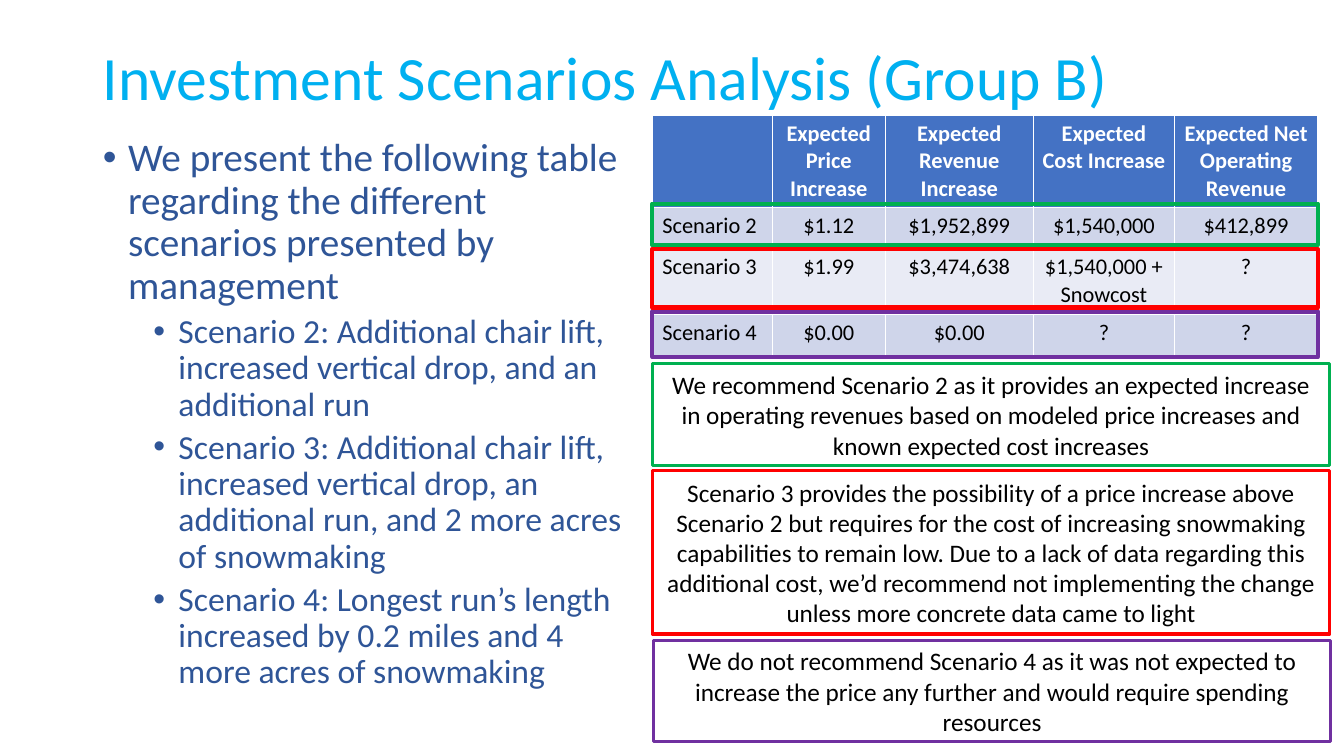
"""Build the slide that compares the investment scenarios of Group B."""
from lxml import etree
from pptx import Presentation
from pptx import util as u
from pptx.dml.color import RGBColor
from pptx.enum import shapes, text
from pptx.oxml import ns

SKY = RGBColor(0x00, 0xB0, 0xF0)
NAVY = RGBColor(0x2F, 0x55, 0x97)
HEADER = RGBColor(0x44, 0x72, 0xC4)
BANDS = (RGBColor(0xCF, 0xD5, 0xEA), RGBColor(0xE9, 0xEB, 0xF5))
WHITE = RGBColor(0xFF, 0xFF, 0xFF)
BLACK = RGBColor(0x00, 0x00, 0x00)
GREEN = RGBColor(0x00, 0xB0, 0x50)
RED = RGBColor(0xFF, 0x00, 0x00)
PURPLE = RGBColor(0x70, 0x30, 0xA0)

BULLETS = (
    (0, "We present the following table regarding the different scenarios "
        "presented by management"),
    (1, "Scenario 2: Additional chair lift, increased vertical drop, and an "
        "additional run"),
    (1, "Scenario 3: Additional chair lift, increased vertical drop, an "
        "additional run, and 2 more acres of snowmaking"),
    (1, "Scenario 4: Longest run’s length increased by 0.2 miles and 4 more "
        "acres of snowmaking"),
)
LEVELS = ({"size": 28, "before": 10, "left": 0.25},
          {"size": 24, "before": 5, "left": 0.75})
ROWS = (
    ("", "Expected Price Increase", "Expected Revenue Increase",
     "Expected Cost Increase", "Expected Net Operating Revenue"),
    ("Scenario 2", "$1.12", "$1,952,899", "$1,540,000", "$412,899"),
    ("Scenario 3", "$1.99", "$3,474,638", "$1,540,000 +\nSnowcost", "?"),
    ("Scenario 4", "$0.00", "$0.00", "?", "?"),
)
COLUMN_WIDTHS = (1.19, 1.12, 1.47, 1.4, 1.42)
ROW_HEIGHTS = (0.88, 0.41, 0.65, 0.41)
HEADER_MARGIN = 0.07
VERDICTS = (
    (GREEN, (6.47, 2.02, 6.6, 0.41), (6.47, 3.61, 6.72, 1.01),
     "We recommend Scenario 2 as it provides an expected increase in operating "
     "revenues based on modeled price increases and known expected cost increases"),
    (PURPLE, (6.47, 3.09, 6.6, 0.45), (6.48, 6.35, 6.72, 1.01),
     "We do not recommend Scenario 4 as it was not expected to increase the "
     "price any further and would require spending resources"),
    (RED, (6.47, 2.47, 6.6, 0.58), (6.47, 4.67, 6.72, 1.62),
     "Scenario 3 provides the possibility of a price increase above Scenario 2 "
     "but requires for the cost of increasing snowmaking capabilities to remain "
     "low. Due to a lack of data regarding this additional cost, we’d recommend "
     "not implementing the change unless more concrete data came to light"),
)


def apply(target, **values):
    """Set each named attribute on the target."""
    for name, value in values.items():
        setattr(target, name, value)


def style(para, size, color, bold=False, **layout):
    """Format a paragraph and its font."""
    apply(para, **layout)
    apply(para.font, name="Calibri", size=u.Pt(size), bold=bold)
    para.font.color.rgb = color


def place(box, left, top, width, height):
    """Move and size a placeholder in inches."""
    apply(box, left=u.Inches(left), top=u.Inches(top),
          width=u.Inches(width), height=u.Inches(height))


def add_title(page, words):
    """Fill the title placeholder."""
    box = page.shapes.title
    place(box, 0.92, 0.4, 11.5, 0.79)
    box.text = words
    apply(box.text_frame, vertical_anchor=text.MSO_ANCHOR.MIDDLE,
          auto_size=text.MSO_AUTO_SIZE.NONE)
    style(box.text_frame.paragraphs[0], 44, SKY,
          alignment=text.PP_ALIGN.LEFT, line_spacing=0.9)


def add_bullets(page, items):
    """Fill the body placeholder with a two-level list."""
    box = page.placeholders[1]
    place(box, 0.92, 1.32, 5.38, 5.78)
    box.text = "\n".join(words for _, words in items)
    box.text_frame.auto_size = text.MSO_AUTO_SIZE.NONE
    for para, (level, _) in zip(box.text_frame.paragraphs, items):
        look = LEVELS[level]
        style(para, look["size"], NAVY, level=level, line_spacing=0.9,
              space_before=u.Pt(look["before"]))
        props = para._p.get_or_add_pPr()
        props.set("marL", str(u.Inches(look["left"])))
        props.set("indent", str(u.Inches(-0.25)))
        font = etree.SubElement(props, ns.qn("a:buFont"))
        font.set("typeface", "Arial")
        etree.SubElement(props, ns.qn("a:buChar")).set("char", "•")


def add_scenario_table(page):
    """Add the table of expected changes per scenario."""
    table = page.shapes.add_table(
        len(ROWS), len(COLUMN_WIDTHS), u.Inches(6.47), u.Inches(1.14),
        u.Inches(sum(COLUMN_WIDTHS)), u.Inches(sum(ROW_HEIGHTS))).table
    for column, width in zip(table.columns, COLUMN_WIDTHS):
        column.width = u.Inches(width)
    for r, (row, height) in enumerate(zip(table.rows, ROW_HEIGHTS)):
        row.height = u.Inches(height)
        for c, cell in enumerate(row.cells):
            cell.text = ROWS[r][c]
            cell.fill.solid()
            cell.fill.fore_color.rgb = BANDS[(r - 1) % 2] if r else HEADER
            if r == 0:
                apply(cell, margin_left=u.Inches(HEADER_MARGIN),
                      margin_right=u.Inches(HEADER_MARGIN))
            align = text.PP_ALIGN.CENTER if c else text.PP_ALIGN.LEFT
            for para in cell.text_frame.paragraphs:
                style(para, 16, BLACK if r else WHITE, bold=r == 0,
                      alignment=align)


def add_frame(page, bounds, color, weight):
    """Add an unfilled rectangle with a coloured outline."""
    box = page.shapes.add_shape(shapes.MSO_SHAPE.RECTANGLE,
                                *map(u.Inches, bounds))
    box.shadow.inherit = False
    box.fill.background()
    box.line.color.rgb = color
    box.line.width = u.Pt(weight)
    return box


def add_verdict(page, bounds, color, words):
    """Add a framed recommendation."""
    frame = add_frame(page, bounds, color, 2.25).text_frame
    apply(frame, text=words, word_wrap=True,
          vertical_anchor=text.MSO_ANCHOR.MIDDLE)
    style(frame.paragraphs[0], 18, BLACK, alignment=text.PP_ALIGN.CENTER)


def main():
    """Build and save the deck."""
    deck = Presentation()
    apply(deck, slide_width=u.Inches(13.33), slide_height=u.Inches(7.5))
    page = deck.slides.add_slide(deck.slide_layouts[1])
    add_title(page, "Investment Scenarios Analysis (Group B)")
    add_bullets(page, BULLETS)
    add_scenario_table(page)
    for color, row_bounds, verdict_bounds, words in VERDICTS:
        add_frame(page, row_bounds, color, 3)
        add_verdict(page, verdict_bounds, color, words)
    deck.save("out.pptx")


main()
